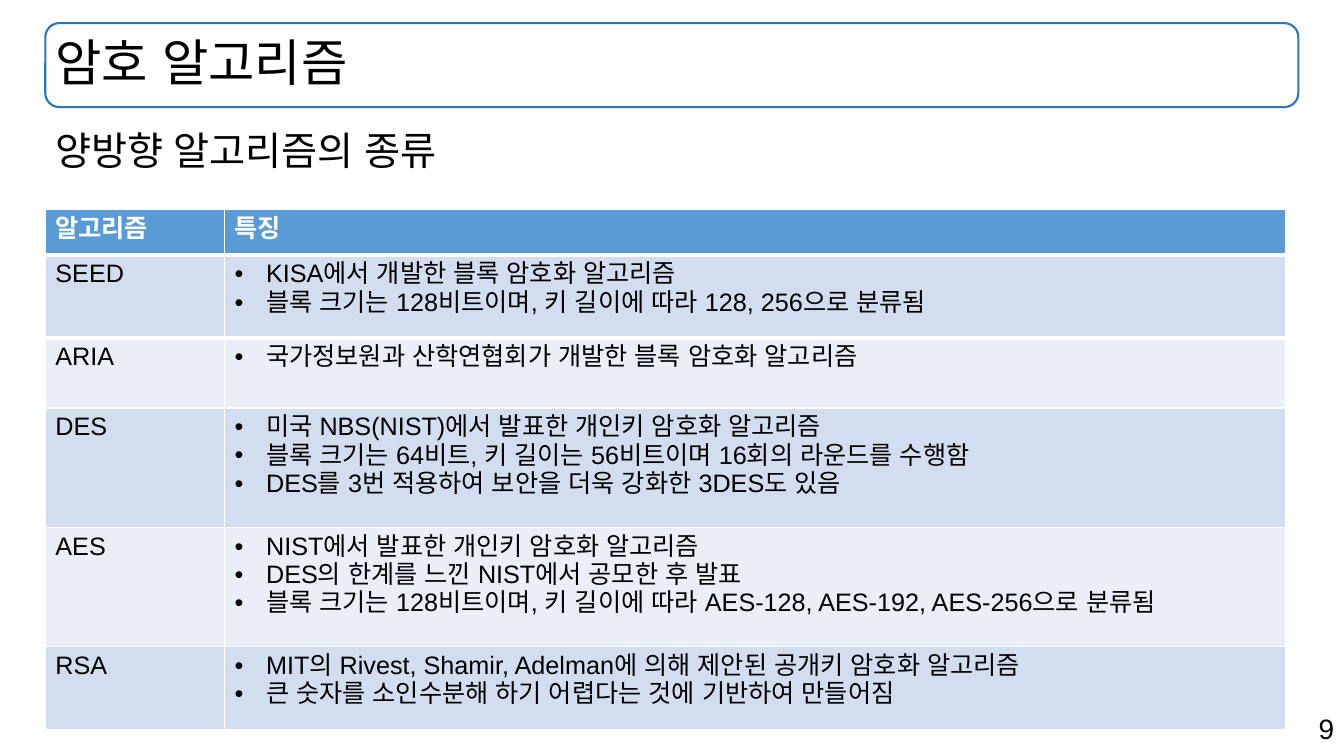
from lxml import etree
from pptx import Presentation
from pptx.dml.color import RGBColor
from pptx.enum import shapes, text
from pptx.oxml import ns
from pptx.util import Pt

FONT = "Arial"
COLORS = {
    "ink": "000000",
    "white": "FFFFFF",
    "frame": "2E75B6",
    "header": "5B9BD5",
    "odd": "D2DEEF",
    "even": "EAEFF7",
}
HEADINGS = ("알고리즘", "특징")
ALGORITHMS = {
    "SEED": [
        "KISA에서 개발한 블록 암호화 알고리즘",
        "블록 크기는 128비트이며, 키 길이에 따라 128, 256으로 분류됨",
    ],
    "ARIA": ["국가정보원과 산학연협회가 개발한 블록 암호화 알고리즘"],
    "DES": [
        "미국 NBS(NIST)에서 발표한 개인키 암호화 알고리즘",
        "블록 크기는 64비트, 키 길이는 56비트이며 16회의 라운드를 수행함",
        "DES를 3번 적용하여 보안을 더욱 강화한 3DES도 있음",
    ],
    "AES": [
        "NIST에서 발표한 개인키 암호화 알고리즘",
        "DES의 한계를 느낀 NIST에서 공모한 후 발표",
        "블록 크기는 128비트이며, 키 길이에 따라 AES-128, AES-192, AES-256으로 분류됨",
    ],
    "RSA": [
        "MIT의 Rivest, Shamir, Adelman에 의해 제안된 공개키 암호화 알고리즘",
        "큰 숫자를 소인수분해 하기 어렵다는 것에 기반하여 만들어짐",
    ],
}


def color(name):
    return RGBColor.from_string(COLORS[name])


def style(paragraph, size, ink="ink", bold=False):
    font = paragraph.font
    font.name = FONT
    font.size = Pt(size)
    font.bold = bold
    font.color.rgb = color(ink)
    defaults = paragraph._p.pPr.find(ns.qn("a:defRPr"))
    etree.SubElement(defaults, ns.qn("a:ea")).set("typeface", FONT)


def add_bullet(paragraph, indent):
    properties = paragraph._p.get_or_add_pPr()
    properties.set("marL", str(Pt(indent)))
    properties.set("indent", str(-Pt(indent)))
    etree.SubElement(properties, ns.qn("a:buFont")).set("typeface", FONT)
    etree.SubElement(properties, ns.qn("a:buChar")).set("char", "•")


def add_title(slide, left, top, width, height):
    box = [Pt(length) for length in (left, top, width, height)]
    frame = slide.shapes.add_shape(shapes.MSO_SHAPE.ROUNDED_RECTANGLE, *box)
    frame.shadow.inherit = False
    frame.fill.background()
    frame.line.color.rgb = color("frame")
    frame.line.width = Pt(1.5)

    title = slide.shapes.title
    title.left, title.top, title.width, title.height = box
    title.text_frame.text = "암호 알고리즘"
    title.text_frame.auto_size = text.MSO_AUTO_SIZE.NONE
    title.text_frame.vertical_anchor = text.MSO_ANCHOR.MIDDLE
    paragraph = title.text_frame.paragraphs[0]
    paragraph.alignment = text.PP_ALIGN.LEFT
    paragraph.line_spacing = 0.9
    style(paragraph, 36)


def add_label(slide, wording, size, left, top, width, height,
              alignment=text.PP_ALIGN.LEFT, line_spacing=1.0):
    label = slide.shapes.add_textbox(Pt(left), Pt(top), Pt(width), Pt(height))
    label.text_frame.word_wrap = True
    label.text_frame.text = wording
    paragraph = label.text_frame.paragraphs[0]
    paragraph.alignment = alignment
    paragraph.line_spacing = line_spacing
    style(paragraph, size)


def add_border(cell, side, width):
    properties = cell._tc.get_or_add_tcPr()
    line = etree.Element(ns.qn(f"a:{side}"), w=str(Pt(width)))
    fill = etree.SubElement(line, ns.qn("a:solidFill"))
    etree.SubElement(fill, ns.qn("a:srgbClr")).set("val", COLORS["white"])
    properties.insert(0, line)


def fill_cell(cell, lines, fill, ink="ink", bold=False, bulleted=False):
    cell.fill.solid()
    cell.fill.fore_color.rgb = color(fill)
    cell.text_frame.text = "\n".join(lines)
    for paragraph in cell.text_frame.paragraphs:
        if bulleted:
            add_bullet(paragraph, 22.5)
        style(paragraph, 18, ink, bold)


def add_algorithm_table(slide, left, top, width):
    name_width, header_height = 128, 32.8
    row_heights = [max(50, 26 * len(features) + 7.2)
                   for features in ALGORITHMS.values()]
    table = slide.shapes.add_table(
        len(ALGORITHMS) + 1, len(HEADINGS), Pt(left), Pt(top), Pt(width),
        Pt(header_height + sum(row_heights))).table
    table.columns[0].width = Pt(name_width)
    table.columns[1].width = Pt(width - name_width)
    table.rows[0].height = Pt(header_height)

    for column, heading in enumerate(HEADINGS):
        cell = table.cell(0, column)
        fill_cell(cell, [heading], "header", "white", bold=True)
        add_border(cell, "lnB", 3)
        add_border(table.cell(1, column), "lnT", 3)
    for row, (name, features) in enumerate(ALGORITHMS.items(), start=1):
        table.rows[row].height = Pt(row_heights[row - 1])
        fill = "odd" if row % 2 else "even"
        fill_cell(table.cell(row, 0), [name], fill)
        fill_cell(table.cell(row, 1), features, fill, bulleted=True)


def build_slide(presentation):
    slide = presentation.slides.add_slide(presentation.slide_layouts[5])
    left, width = 32.4, 895
    add_title(slide, left, 16.5, width, 60)
    add_label(slide, "양방향 알고리즘의 종류", 28, left, 90.7, width, 45,
              line_spacing=0.9)
    add_algorithm_table(slide, left, 149.4, 885.6)
    add_label(slide, "9", 20, 679, 504.7, 281, 31.5, text.PP_ALIGN.RIGHT)


def main():
    presentation = Presentation()
    presentation.slide_width, presentation.slide_height = Pt(960), Pt(540)
    build_slide(presentation)
    presentation.save("out.pptx")


if __name__ == "__main__":
    main()
